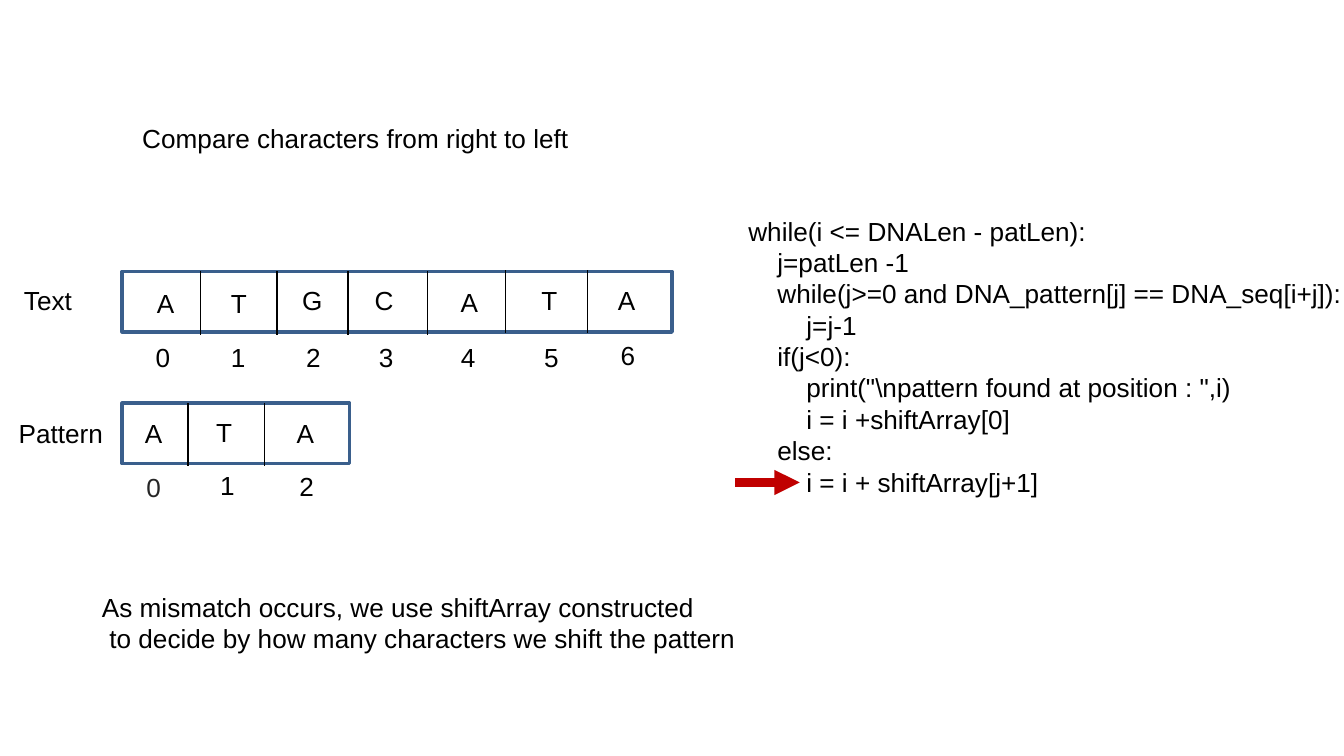
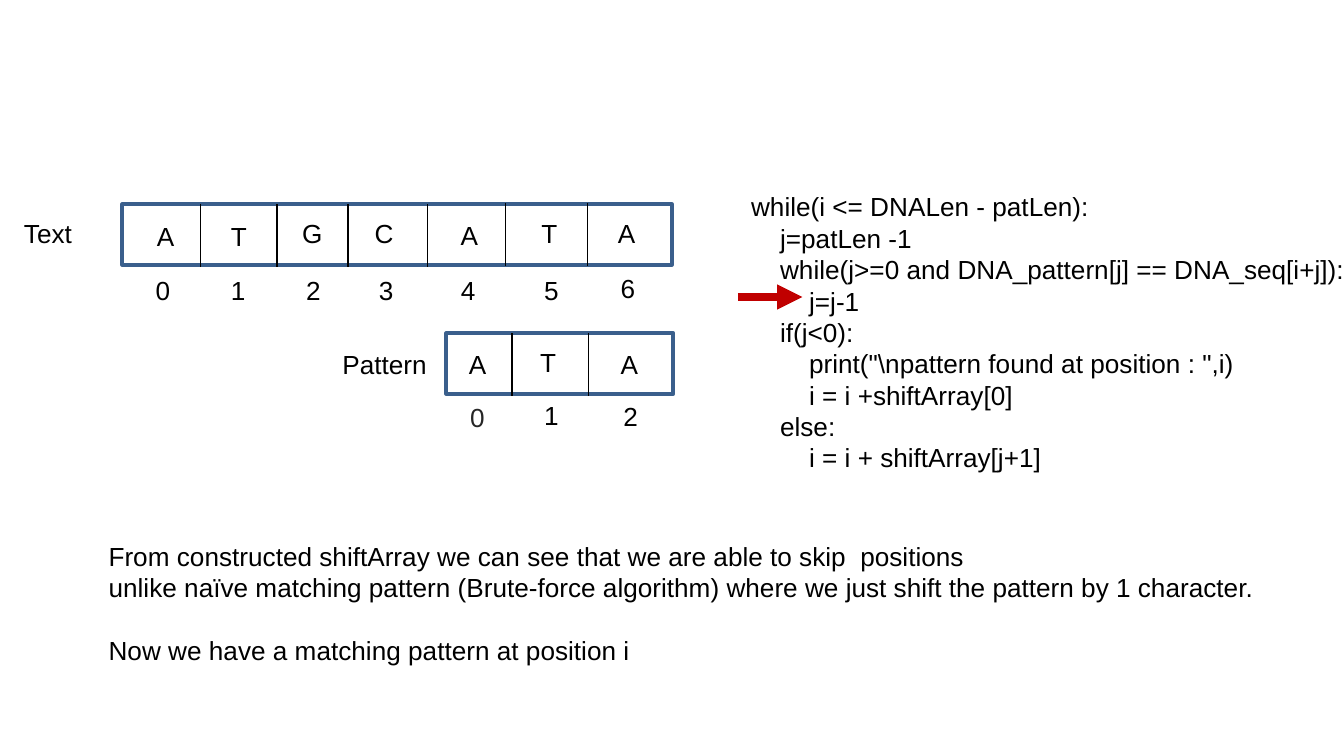
"""Build two slides that trace a shift-based DNA pattern search."""
from dataclasses import dataclass

from lxml import etree
from pptx import Presentation
from pptx.dml.color import RGBColor
from pptx.enum.shapes import MSO_CONNECTOR, MSO_SHAPE
from pptx.enum.text import MSO_AUTO_SIZE
from pptx.oxml.ns import qn
from pptx.util import Pt

LINE = MSO_CONNECTOR.STRAIGHT
RECT = MSO_SHAPE.RECTANGLE
GROW = MSO_AUTO_SIZE.SHAPE_TO_FIT_TEXT
SCALE = 9144
WIDE = 1000 * SCALE


@dataclass(frozen=True)
class Theme:
    font: str = "Arial"
    size: int = 14
    ink: str = "000000"
    soft: str = "262626"
    frame: str = "3A5F8C"
    mark: str = "C00000"
    thin: float = 0.75
    edge: float = 2
    bold: float = 4.5


CODE = r'''while(i <= DNALen - patLen):
    j=patLen -1
    while(j>=0 and DNA_pattern[j] == DNA_seq[i+j]):
        j=j-1
    if(j<0):
        print("\npattern found at position : ",i)
        i = i +shiftArray[0]
    else:
        i = i + shiftArray[j+1]'''

TEXT = dict(
    width=409,
    bars=[(58, 0), (115, 0), (168, 0), (227, 0), (285, -1), (346, -1)],
    cells=[("A", 16, 7), ("T", 71, 7), ("G", 124, 5), ("C", 178, 5),
           ("A", 242, 6), ("T", 302, 5), ("A", 359, 5)],
    marks=[(15, 47), (71, 47), (127, 47), (181, 47), (242, 47), (304, 47), (361, 46)],
    label=("Text", -83, 5, 58),
)
PATTERN = dict(
    width=169,
    bars=[(49, 0), (106, 0)],
    cells=[("A", 7, 6), ("T", 60, 5), ("A", 120, 6)],
    marks=[(8, 46), (63, 44), (122, 45)],
    label=("Pattern", -87, 6, 83),
)


def px(*vals):
    return [v * SCALE for v in vals]


class Deck:
    def __init__(self, theme):
        self.theme = theme
        self.file = Presentation()
        self.file.slide_width = WIDE
        self.file.slide_height = WIDE * 9 // 16
        self.slide = None

    def page(self):
        self.slide = self.file.slides.add_slide(self.file.slide_layouts[6])

    def text(self, words, x, y, w, h=34, *, on=None, wrap=False, color=None,
             inset=0, gap=0):
        box = (on or self.slide).shapes.add_textbox(*px(x, y, w, h))
        frame = box.text_frame
        frame.word_wrap = wrap
        frame.auto_size = GROW
        for n, line in enumerate(words.split("\n")):
            para = frame.add_paragraph() if n else frame.paragraphs[0]
            run = para.add_run()
            run.text = line
            run.font.name = self.theme.font
            run.font.size = Pt(self.theme.size)
            run.font.color.rgb = RGBColor.from_string(color or self.theme.ink)
        if inset:
            para._p.get_or_add_pPr().set("marL", str(Pt(inset)))
        if gap:
            para.space_before = Pt(gap)

    def line(self, x1, y1, x2, y2, color, width, on=None, arrow=False):
        item = (on or self.slide).shapes.add_connector(LINE, *px(x1, y1, x2, y2))
        item.line.color.rgb = RGBColor.from_string(color)
        item.line.width = Pt(width)
        if arrow:
            etree.SubElement(item.line._get_or_add_ln(), qn("a:tailEnd"), type="triangle")
        etree.SubElement(item._element.spPr, qn("a:effectLst"))

    def frame(self, x, y, w, h, on):
        box = on.shapes.add_shape(RECT, *px(x, y, w, h))
        box.shadow.inherit = False
        box.fill.background()
        box.line.color.rgb = RGBColor.from_string(self.theme.frame)
        box.line.width = Pt(self.theme.edge)

    def strip(self, x, y, width, bars, cells, marks, label, first=None):
        group = self.slide.shapes.add_group_shape()
        self.frame(x, y, width, 45, group)
        for dx, dy in bars:
            self.line(x + dx, y + dy, x + dx, y + dy + 47,
                      self.theme.ink, self.theme.thin, on=group)
        for char, dx, dy in cells:
            self.text(char, x + dx, y + dy, 33, on=group)
        for n, (dx, dy) in enumerate(marks):
            self.text(str(n), x + dx, y + dy, 31, on=group,
                      color=None if n else first)
        name, dx, dy, w = label
        self.text(name, x + dx, y + dy, w, on=group)

    def trace(self, code, text, pattern, step):
        self.page()
        x, y = code
        self.text(CODE, x, y, 500, 222, wrap=True)
        self.strip(*text, **TEXT)
        self.strip(*pattern, **PATTERN, first=self.theme.soft)
        self.line(x, step, x + 48, step, self.theme.mark, self.theme.bold, arrow=True)


def main():
    deck = Deck(Theme())
    deck.trace(code=(547, 155), text=(91, 202), pattern=(91, 300), step=359)
    deck.text("Compare characters from right to left", 96, 86, 339)
    deck.text("As mismatch occurs, we use shiftArray constructed\n"
              "to decide by how many characters we shift the pattern",
              66, 435, 493, 57, inset=4)

    deck.trace(code=(549, 137), text=(91, 152), pattern=(332, 248), step=221)
    deck.text("From constructed shiftArray we can see that we are able to skip  positions\n"
              "unlike naïve matching pattern (Brute-force algorithm) where we just shift "
              "the pattern by 1 character.\n"
              "Now we have a matching pattern at position i",
              71, 397, 877, 128, gap=17)
    deck.file.save("out.pptx")


if __name__ == "__main__":
    main()
